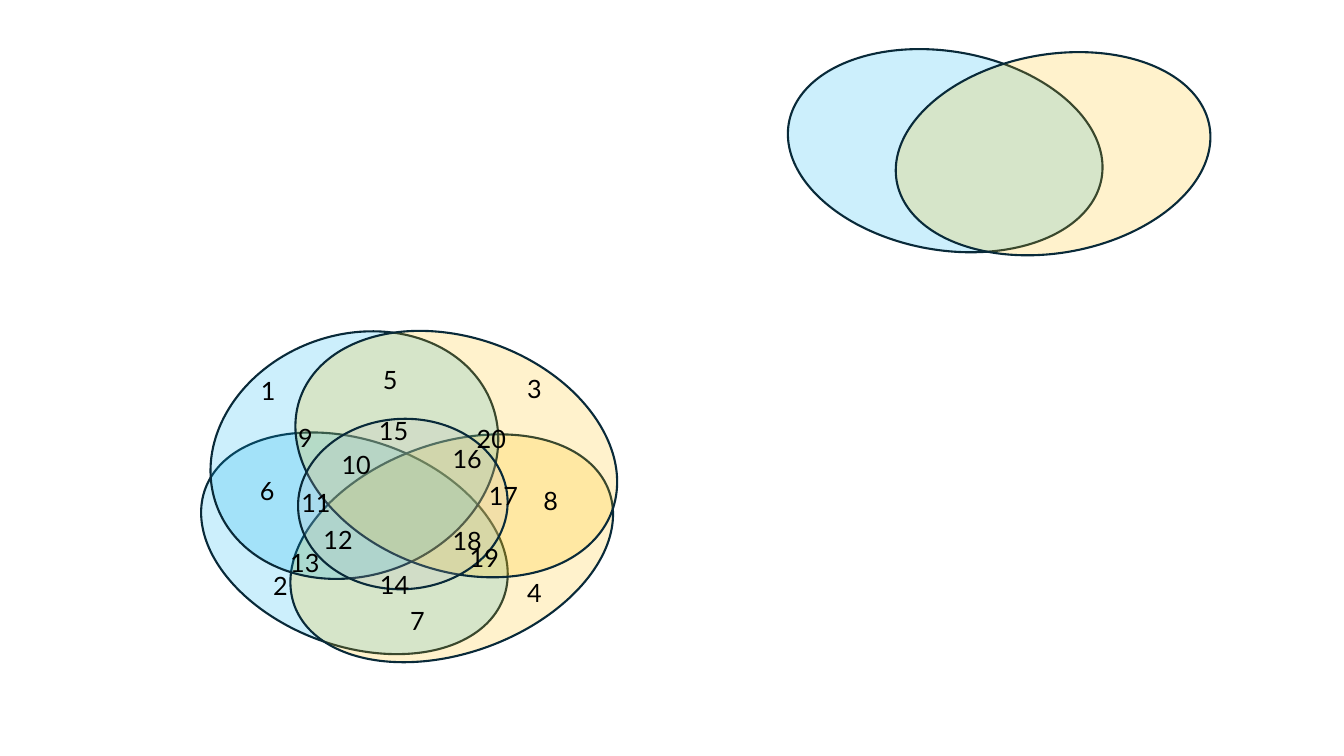
import pptx
import pptx.dml.color
import pptx.enum.shapes
import pptx.enum.text
import pptx.oxml.ns
import pptx.util
from lxml import etree
from pptx.util import Inches

COLORS = {
    "blue": "00B0F0",
    "gold": "FFC000",
    "gray": "BFBFBF",
    "outline": "092A39",
    "text": "000000",
}
OPACITY = 20  # percent


def rgb(name):
    return pptx.dml.color.RGBColor.from_string(COLORS[name])


deck = pptx.Presentation()
deck.slide_width = Inches(13.33)
deck.slide_height = Inches(7.5)
slide = deck.slides.add_slide(deck.slide_layouts[6])

# Back to front: left, top, width, height, rotation, fill
ellipses = [
    (1.94, 4.37, 3.15, 2.04, 20, "blue"),
    (2.82, 4.40, 3.32, 2.08, 340, "gold"),
    (7.80, 0.51, 3.15, 1.97, 10, "blue"),
    (8.87, 0.54, 3.15, 1.97, 350, "gold"),
    (2.06, 3.32, 2.91, 2.39, 340, "blue"),
    (2.88, 3.35, 3.29, 2.31, 20, "gold"),
    (3.15, 3.96, 1.69, 2.08, 87.1, "gray"),
]
for left, top, width, height, rotation, color in ellipses:
    ellipse = slide.shapes.add_shape(
        pptx.enum.shapes.MSO_SHAPE.OVAL,
        Inches(left), Inches(top), Inches(width), Inches(height),
    )
    ellipse.rotation = rotation
    ellipse.shadow.inherit = False
    ellipse.fill.solid()
    ellipse.fill.fore_color.rgb = rgb(color)
    ellipse.line.color.rgb = rgb("outline")
    ellipse.line.width = pptx.util.Pt(1.5)
    fill_color = ellipse.element.spPr.find(pptx.oxml.ns.qn("a:solidFill"))[0]
    alpha = etree.SubElement(fill_color, pptx.oxml.ns.qn("a:alpha"))
    alpha.set("val", str(OPACITY * 1000))

# Left and top of the region labels, numbered from 1
label_places = [
    (2.49, 3.67), (2.61, 5.61), (5.13, 3.65), (5.13, 5.68), (3.70, 3.57),
    (2.48, 4.67), (3.97, 5.96), (5.29, 4.77), (2.86, 4.14), (3.29, 4.41),
    (2.89, 4.79), (3.11, 5.15), (2.78, 5.38), (3.67, 5.60), (3.66, 4.07),
    (4.39, 4.35), (4.75, 4.72), (4.39, 5.16), (4.56, 5.33), (4.63, 4.15),
]
tall_labels = {2: 1.01, 3: 0.71}
for number, (left, top) in enumerate(label_places, start=1):
    height = tall_labels.get(number, 0.4)
    box = slide.shapes.add_textbox(
        Inches(left), Inches(top), Inches(0.5), Inches(height)
    )
    box.text_frame.word_wrap = True
    box.text_frame.auto_size = pptx.enum.text.MSO_AUTO_SIZE.SHAPE_TO_FIT_TEXT
    span = box.text_frame.paragraphs[0].add_run()
    span.text = str(number)
    span.font.name = "Lato"
    span.font.size = pptx.util.Pt(18)
    span.font.color.rgb = rgb("text")

deck.save("out.pptx")
